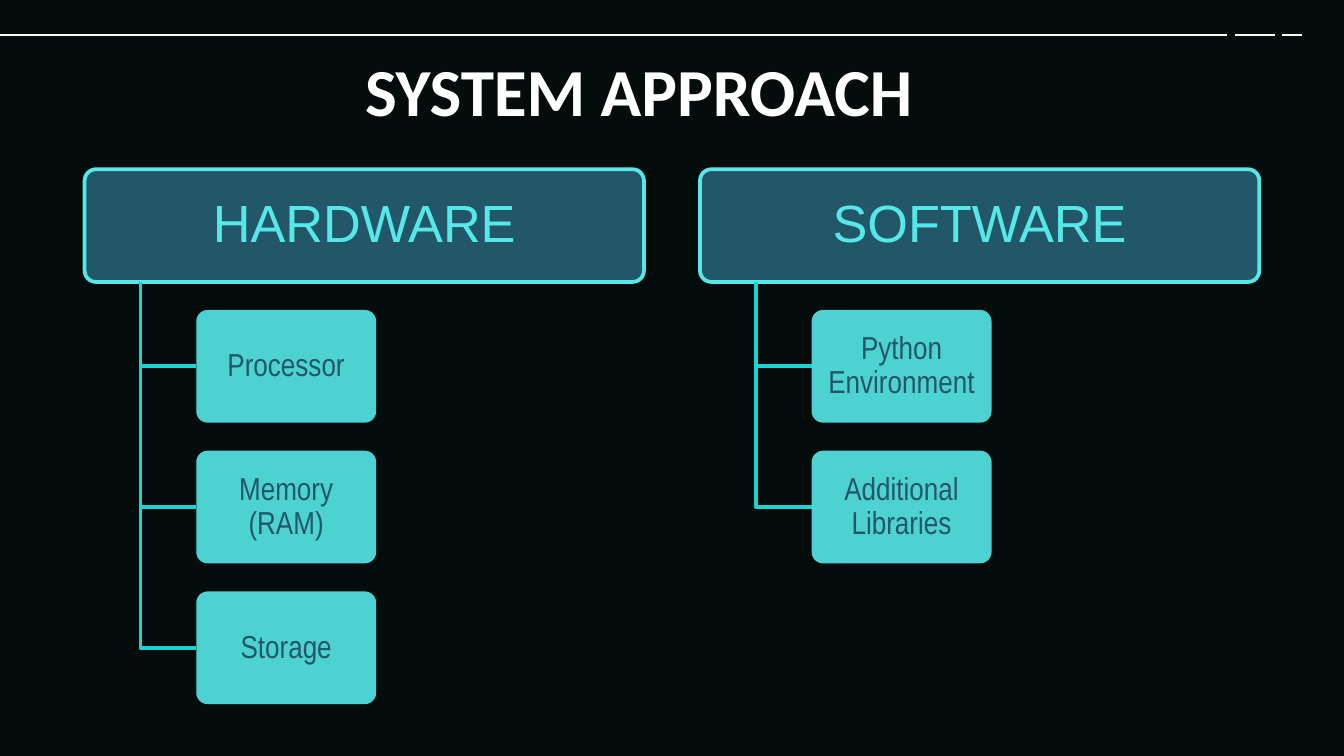
"""Build the System Approach slide: hardware and software requirement trees."""
from lxml import etree
from pptx import Presentation
from pptx.dml.color import RGBColor
from pptx.enum.shapes import MSO_CONNECTOR, MSO_SHAPE
from pptx.enum.text import MSO_ANCHOR, PP_ALIGN
from pptx.oxml.ns import qn
from pptx.util import Cm, Pt

STRAIGHT = MSO_CONNECTOR.STRAIGHT
ROUNDED = MSO_SHAPE.ROUNDED_RECTANGLE
TOP, MIDDLE = MSO_ANCHOR.TOP, MSO_ANCHOR.MIDDLE
CENTER = PP_ALIGN.CENTER

COLORS = {
    "background": "040D0B",
    "white": "FFFFFF",
    "header": "225769",
    "aqua": "56E8E8",
    "branch": "1DD2D2",
}
TREES = [
    ("HARDWARE", ["Processor", "Memory (RAM)", "Storage"]),
    ("SOFTWARE", ["Python Environment", "Additional Libraries"]),
]
RULE_SPANS = [(0, 23.19), (23.34, 24.1), (24.23, 24.61)]
RULE_TOP = 0.66
TREE_LEFT, TREE_PITCH = 1.6, 11.63
HEADER_TOP, HEADER_WIDTH = 3.2, 10.57
ITEM_INDENT, ITEM_WIDTH = 2.11, 3.4
ITEM_TOP, ITEM_PITCH = 5.86, 2.66
NODE_HEIGHT = 2.13


def rgb(name):
    """Return the named palette colour."""
    return RGBColor.from_string(COLORS[name])


def write_text(shape, text, font_name, size, color, inset, anchor=MIDDLE, bold=False):
    """Fill a shape with one centred, wrapped paragraph."""
    frame = shape.text_frame
    frame.word_wrap = True
    frame.vertical_anchor = anchor
    frame.margin_left = frame.margin_right = Cm(inset)
    frame.margin_top = frame.margin_bottom = Cm(inset)
    frame.text = text
    paragraph = frame.paragraphs[0]
    paragraph.alignment = CENTER
    font = paragraph.runs[0].font
    font.name, font.size, font.bold = font_name, Pt(size), bold
    font.color.rgb = rgb(color)
    return paragraph


def add_rule(slide, start, end):
    """Draw one dash of the white rule across the top."""
    rule = slide.shapes.add_connector(
        STRAIGHT, Cm(start), Cm(RULE_TOP), Cm(end), Cm(RULE_TOP))
    rule.line.color.rgb = rgb("white")
    rule.line.width = Pt(0.75)
    etree.SubElement(rule._element.spPr, qn("a:effectLst"))


def add_title(slide, text):
    """Add the slide title."""
    title = slide.shapes.add_textbox(Cm(1.37), Cm(0.69), Cm(21.41), Cm(1.6))
    write_text(title, text, "Calibri", 36, "white", 0.25, anchor=TOP, bold=True)


def add_node(slide, left, top, width, fill):
    """Add a rounded box of the tree without an outline."""
    node = slide.shapes.add_shape(ROUNDED, Cm(left), Cm(top), Cm(width), Cm(NODE_HEIGHT))
    node.adjustments[0] = 0.1
    node.shadow.inherit = False
    node.fill.solid()
    node.fill.fore_color.rgb = rgb(fill)
    node.line.fill.background()
    return node


def add_header(slide, left, text):
    """Add the outlined box at the root of a tree."""
    header = add_node(slide, left, HEADER_TOP, HEADER_WIDTH, "header")
    header.line.color.rgb = rgb("aqua")
    header.line.width = Pt(2)
    write_text(header, text, "Arial", 28, "aqua", 0.17).line_spacing = 0.9


def add_item(slide, left, top, text):
    """Add a slightly transparent leaf box."""
    item = add_node(slide, left, top, ITEM_WIDTH, "aqua")
    color = item._element.spPr.find(qn("a:solidFill")).find(qn("a:srgbClr"))
    etree.SubElement(color, qn("a:alpha"), val="90000")
    write_text(item, text, "Arial Narrow", 17, "header", 0.15).line_spacing = 0.9


def add_branch(slide, trunk, item_left, item_middle):
    """Draw the elbow from the header's lower edge to an item."""
    builder = slide.shapes.build_freeform(Cm(trunk), Cm(HEADER_TOP + NODE_HEIGHT))
    builder.add_line_segments(
        [(Cm(trunk), Cm(item_middle)), (Cm(item_left), Cm(item_middle))], close=False)
    branch = builder.convert_to_shape()
    branch.shadow.inherit = False
    branch.fill.background()
    branch.line.color.rgb = rgb("branch")
    branch.line.width = Pt(2)


def add_tree(slide, left, heading, items):
    """Add a header with its items and their branches."""
    add_header(slide, left, heading)
    item_left = left + ITEM_INDENT
    for row, text in enumerate(items):
        top = ITEM_TOP + row * ITEM_PITCH
        add_branch(slide, left + ITEM_INDENT / 2, item_left, top + NODE_HEIGHT / 2)
        add_item(slide, item_left, top, text)


def main():
    """Build and save the slide."""
    deck = Presentation()
    deck.slide_width, deck.slide_height = Cm(25.4), Cm(14.29)
    slide = deck.slides.add_slide(deck.slide_layouts[6])
    slide.background.fill.solid()
    slide.background.fill.fore_color.rgb = rgb("background")
    for start, end in RULE_SPANS:
        add_rule(slide, start, end)
    add_title(slide, "SYSTEM APPROACH")
    for column, (heading, items) in enumerate(TREES):
        add_tree(slide, TREE_LEFT + column * TREE_PITCH, heading, items)
    deck.save("out.pptx")


if __name__ == "__main__":
    main()
